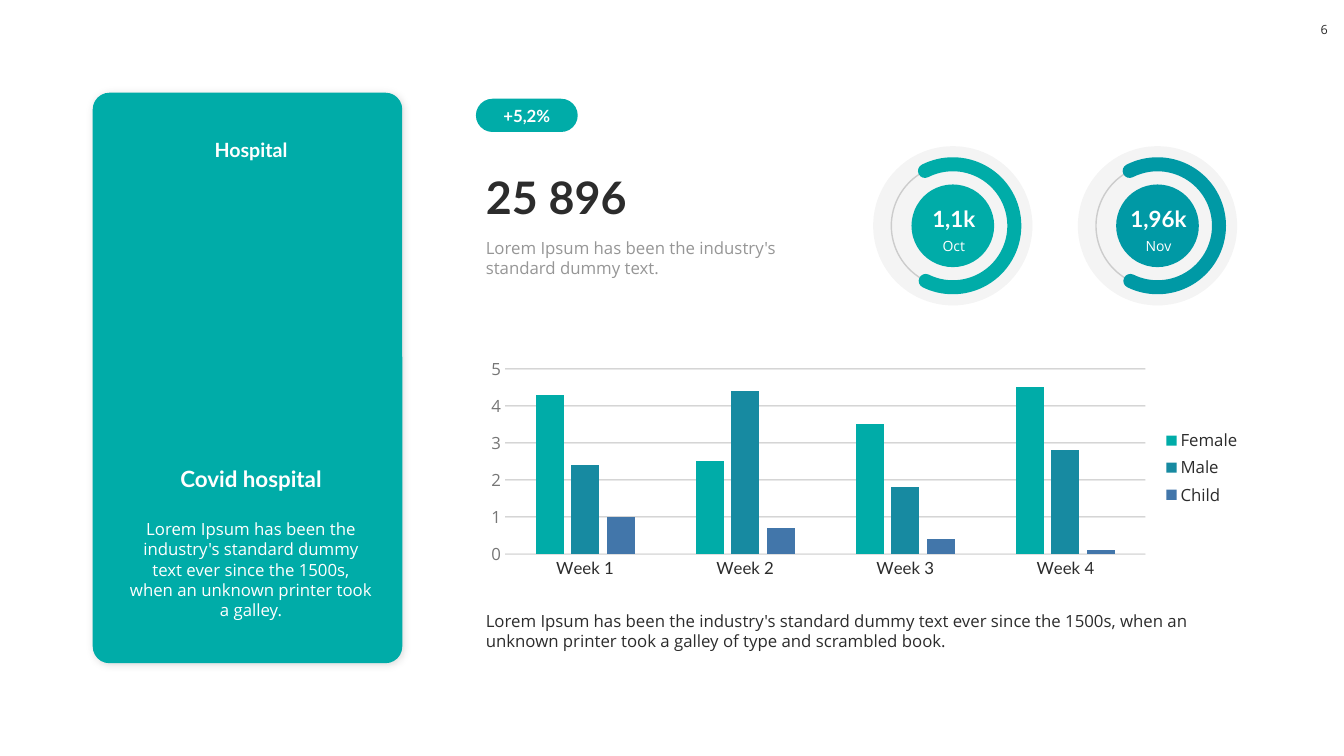
"""Build a hospital statistics slide with two monthly dials and a weekly column chart."""
from dataclasses import dataclass
from typing import Any

from lxml import etree
from pptx import Presentation, util as u
from pptx.chart.data import CategoryChartData
from pptx.dml.color import RGBColor
from pptx.enum import chart as ch, shapes, text
from pptx.oxml.ns import qn

TEAL, CYAN, DARK, GREY, WHITE = "00ACA8", "0099A5", "2C2C2C", "969696", "FFFFFF"
LATO, SANS = "Lato", "Open Sans"
LEFT, MID = text.PP_ALIGN.LEFT, text.PP_ALIGN.CENTER
TOP, CENTRE, BOTTOM = text.MSO_ANCHOR.TOP, text.MSO_ANCHOR.MIDDLE, text.MSO_ANCHOR.BOTTOM
KIND = shapes.MSO_SHAPE
Box = tuple[float, float, float, float]


@dataclass
class Dial:
    x: float
    value: str
    month: str
    color: str


@dataclass
class Series:
    name: str
    values: tuple[float, ...]
    color: str


DIALS = [Dial(8.66, "1,1k", "Oct", TEAL), Dial(10.69, "1,96k", "Nov", CYAN)]
WEEKS = [f"Week {n}" for n in range(1, 5)]
SERIES = [
    Series("Female", (4.3, 2.5, 3.5, 4.5), TEAL),
    Series("Male", (2.4, 4.4, 1.8, 2.8), "178AA1"),
    Series("Child", (1, 0.7, 0.4, 0.1), "4276AA"),
]


def rgb(value: str) -> RGBColor:
    return RGBColor.from_string(value)


def set_alpha(root: Any, percent: int) -> None:
    for clr in root.iter(qn("a:srgbClr")):
        etree.SubElement(clr, qn("a:alpha"), val=str(percent * 1000))


def add_shadow(sp: Any) -> None:
    effects = sp._element.spPr.find(qn("a:effectLst"))
    shadow = etree.SubElement(effects, qn("a:outerShdw"), blurRad=str(u.Pt(6)),
                              dist=str(u.Pt(1)), dir=str(45 * 60000))
    etree.SubElement(shadow, qn("a:srgbClr"), val="000000")
    set_alpha(shadow, 15)


def add_shape(s: Any, kind: Any, box: Box, *, fill: str = "", line: str = "",
              width: float = 1, alpha: int = 100) -> Any:
    sp = s.shapes.add_shape(kind, *map(u.Inches, box))
    sp.shadow.inherit = False
    if fill:
        sp.fill.solid()
        sp.fill.fore_color.rgb = rgb(fill)
    else:
        sp.fill.background()
    if line:
        sp.line.color.rgb = rgb(line)
        sp.line.width = u.Pt(width)
    else:
        sp.line.fill.background()
    if alpha < 100:
        set_alpha(sp._element.spPr, alpha)
    return sp


def set_font(font: Any, size: float, name: str, color: str, bold: bool = False) -> None:
    font.size, font.name, font.bold = u.Pt(size), name, bold
    font.color.rgb = rgb(color)


def write(sp: Any, words: str, *, size: float, font: str = SANS, color: str = WHITE,
          bold: bool = False, align: Any = MID, anchor: Any = CENTRE, wrap: bool = True) -> None:
    tf = sp.text_frame
    tf.word_wrap, tf.vertical_anchor = wrap, anchor
    p = tf.paragraphs[0]
    p.alignment = align
    r = p.add_run()
    r.text = words
    set_font(r.font, size, font, color, bold)


def add_text(s: Any, box: Box, words: str, *, anchor: Any = TOP, **style: Any) -> None:
    sp = s.shapes.add_textbox(*map(u.Inches, box))
    write(sp, words, anchor=anchor, **style)
    sp.text_frame.auto_size = text.MSO_AUTO_SIZE.SHAPE_TO_FIT_TEXT


def add_dial(s: Any, dial: Dial) -> None:
    def ring(inset: float) -> Box:
        size = 1.58 - 2 * inset
        return dial.x + inset, 1.45 + inset, size, size

    add_shape(s, KIND.OVAL, ring(0), fill=DARK, alpha=5)
    add_shape(s, KIND.OVAL, ring(0.18), line=DARK, alpha=20)
    arc = add_shape(s, KIND.ARC, ring(0.18), line=dial.color, width=10)
    arc.adjustments[0], arc.adjustments[1] = 145.85, 69.71
    arc._element.spPr.find(qn("a:ln")).set("cap", "rnd")
    add_shape(s, KIND.OVAL, ring(0.38), fill=dial.color)
    x = dial.x + 0.39
    add_text(s, (x, 1.98, 0.82, 0.37), dial.value, size=16, font=LATO, bold=True, anchor=BOTTOM)
    add_text(s, (x, 2.31, 0.82, 0.27), dial.month, size=10)


def add_week_chart(s: Any, box: Box) -> None:
    data = CategoryChartData()
    data.categories = WEEKS
    for item in SERIES:
        data.add_series(item.name, item.values)
    kind = ch.XL_CHART_TYPE.COLUMN_CLUSTERED
    chart = s.shapes.add_chart(kind, *map(u.Inches, box), data).chart
    set_font(chart.font, 10, SANS, DARK)
    chart.has_title = False
    chart.has_legend = True
    chart.legend.position = ch.XL_LEGEND_POSITION.RIGHT
    chart.legend.include_in_layout = False
    set_font(chart.legend.font, 12, SANS, DARK)

    plot = chart.plots[0]
    plot.gap_width, plot.overlap, plot.vary_by_categories = 219, -27, False
    for series, item in zip(plot.series, SERIES):
        series.format.fill.solid()
        series.format.fill.fore_color.rgb = rgb(item.color)

    cat, val = chart.category_axis, chart.value_axis
    for axis, font, color in ((cat, LATO, DARK), (val, SANS, "767676")):
        axis.major_tick_mark = axis.minor_tick_mark = ch.XL_TICK_MARK.NONE
        set_font(axis.tick_labels.font, 12, font, color)
    cat.format.line.color.rgb = rgb("DFDFDF")
    cat.format.line.width = u.Pt(0.75)
    val.format.line.fill.background()
    val.minimum_scale, val.maximum_scale, val.major_unit = 0, 5, 1
    grid = val.major_gridlines.format.line
    grid.color.rgb = rgb(DARK)
    grid.width = u.Pt(0.75)
    set_alpha(val._element.find(qn("c:majorGridlines")), 30)


def main() -> None:
    prs = Presentation()
    prs.slide_width, prs.slide_height = u.Inches(13.33), u.Inches(7.5)
    s = prs.slides.add_slide(prs.slide_layouts[6])

    card = add_shape(s, KIND.ROUNDED_RECTANGLE, (0.92, 0.92, 3.07, 5.66), fill=TEAL)
    card.adjustments[0] = 0.054
    add_shadow(card)
    number = add_shape(s, KIND.ROUNDED_RECTANGLE, (12.94, 0.1, 0.39, 0.39), fill=WHITE)
    number.text_frame.margin_left = number.text_frame.margin_right = 0
    write(number, "6", size=9, color=DARK, wrap=False)

    add_text(s, (1.18, 1.31, 2.62, 0.34), "Hospital", size=14, font=LATO, bold=True, anchor=BOTTOM)
    add_text(s, (1.18, 4.57, 2.62, 0.37), "Covid hospital", size=16, font=LATO, bold=True)
    add_text(s, (1.18, 5.1, 2.62, 0.91),
             "Lorem Ipsum has been the industry's standard dummy text ever since the 1500s, "
             "when an unknown printer took a galley.", size=12)

    pill = add_shape(s, KIND.ROUNDED_RECTANGLE, (4.72, 0.98, 1.01, 0.33), fill=TEAL)
    pill.adjustments[0] = 0.5
    tf = pill.text_frame
    tf.margin_left = tf.margin_top = tf.margin_right = tf.margin_bottom = 0
    write(pill, "+5,2%", size=12, font=LATO, bold=True)
    add_text(s, (4.72, 1.63, 3.36, 0.64), "25 896", size=32, font=LATO, color=DARK,
             bold=True, align=LEFT, anchor=BOTTOM)
    add_text(s, (4.72, 2.31, 3.36, 0.5),
             "Lorem Ipsum has been the industry's standard dummy text.",
             size=12, color=GREY, align=LEFT)

    for dial in DIALS:
        add_dial(s, dial)
    add_week_chart(s, (4.72, 3.5, 7.69, 2.28))
    add_text(s, (4.72, 6.01, 7.7, 0.5),
             "Lorem Ipsum has been the industry's standard dummy text ever since the 1500s, "
             "when an unknown printer took a galley of type and scrambled book.",
             size=12, color=DARK, align=LEFT)
    prs.save("out.pptx")


if __name__ == "__main__":
    main()
